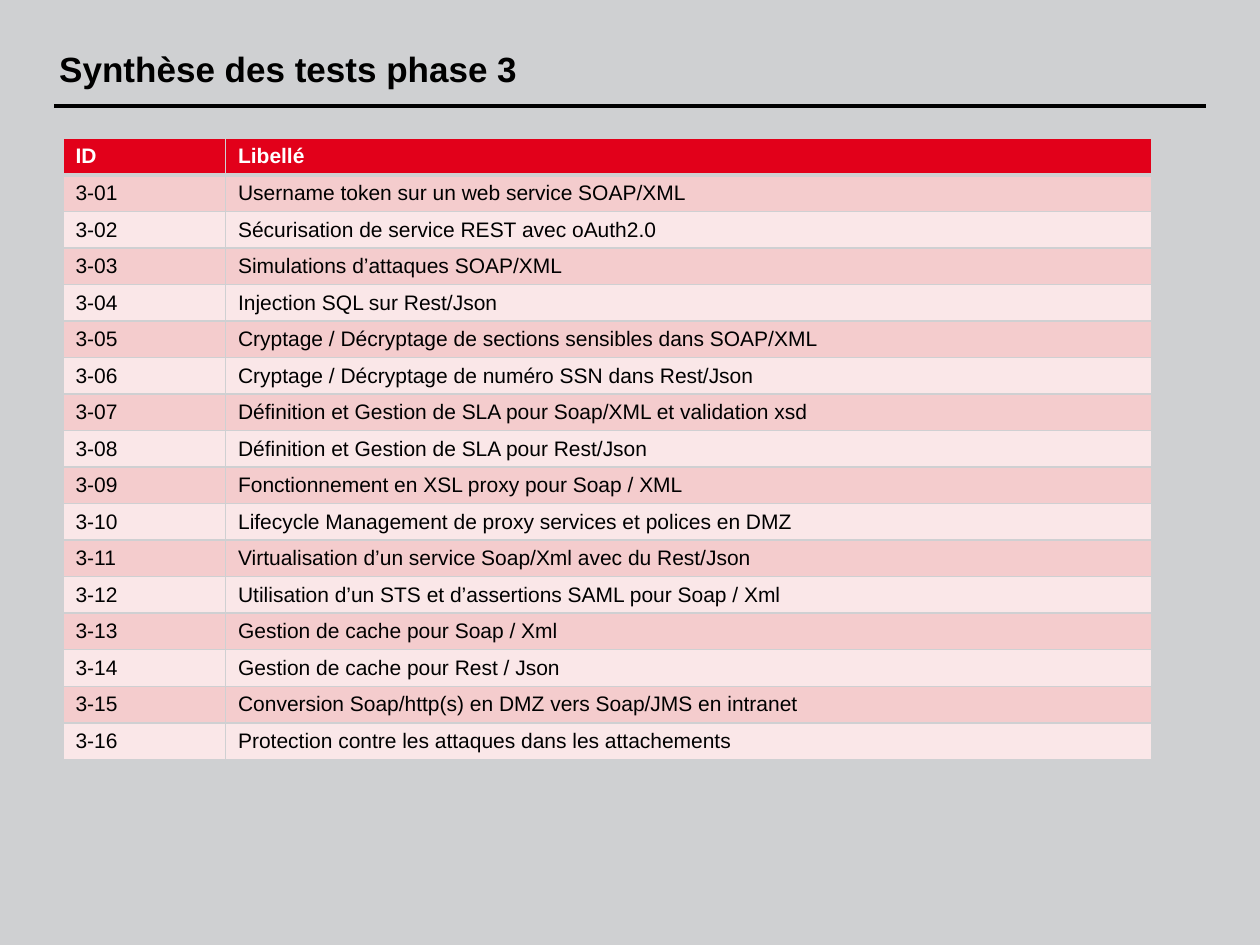
from lxml import etree
from pptx import Presentation
from pptx.dml.color import RGBColor
from pptx.enum.shapes import MSO_CONNECTOR
from pptx.enum.text import MSO_ANCHOR, PP_ALIGN
from pptx.oxml.ns import qn
from pptx.util import Inches, Pt

STRAIGHT = MSO_CONNECTOR.STRAIGHT
MIDDLE = MSO_ANCHOR.MIDDLE
LEFT = PP_ALIGN.LEFT
TITLE_ONLY = 5
FONT = "Arial"

COLORS = {
    "background": "CFD0D2",
    "text": "000000",
    "header": "E2001A",
    "header_text": "FFFFFF",
    "odd_row": "F4CCCD",
    "even_row": "FAE7E8",
}

# Table grid, in inches
TABLE_LEFT, TABLE_TOP = 0.5, 1.1
COLUMN_WIDTHS = (1.29, 7.35)
ROW_HEIGHT = 0.29

HEADER = ("ID", "Libellé")
TESTS = [
    "Username token sur un web service SOAP/XML",
    "Sécurisation de service REST avec oAuth2.0",
    "Simulations d’attaques SOAP/XML",
    "Injection SQL sur Rest/Json",
    "Cryptage / Décryptage de sections sensibles dans SOAP/XML",
    "Cryptage / Décryptage de numéro SSN dans Rest/Json",
    "Définition et Gestion de SLA pour Soap/XML et validation xsd",
    "Définition et Gestion de SLA pour Rest/Json",
    "Fonctionnement en XSL proxy pour Soap / XML",
    "Lifecycle Management de proxy services et polices en DMZ",
    "Virtualisation d’un service Soap/Xml avec du Rest/Json",
    "Utilisation d’un STS et d’assertions SAML pour Soap / Xml",
    "Gestion de cache pour Soap / Xml",
    "Gestion de cache pour Rest / Json",
    "Conversion Soap/http(s) en DMZ vers Soap/JMS en intranet",
    "Protection contre les attaques dans les attachements",
]


def color(name):
    return RGBColor.from_string(COLORS[name])


def format_text(frame, size, color_name, bold):
    for para in frame.paragraphs:
        para.alignment = LEFT
        for span in para.runs:
            span.font.name = FONT
            span.font.size = Pt(size)
            span.font.bold = bold
            span.font.color.rgb = color(color_name)


def set_title(page, text):
    title = page.shapes.title
    title.left, title.top = Inches(0.47), Inches(0.08)
    title.width, title.height = Inches(9.05), Inches(0.92)
    frame = title.text_frame
    frame.text = text
    frame.vertical_anchor = MIDDLE
    frame.margin_left = frame.margin_right = 0
    frame.margin_top = frame.margin_bottom = 0
    format_text(frame, 20, "text", True)


def add_rule(page, left, right, top):
    rule = page.shapes.add_connector(
        STRAIGHT, Inches(left), Inches(top), Inches(right), Inches(top))
    rule.line.color.rgb = color("text")
    rule.line.width = Pt(2.25)
    etree.SubElement(rule._element.spPr, qn("a:effectLst"))


def set_borders(cell, top, bottom):
    """Border lines come before the fill in the cell properties."""
    properties = cell._tc.get_or_add_tcPr()
    sides = (("lnL", 1), ("lnR", 1), ("lnT", top), ("lnB", bottom))
    for position, (side, width) in enumerate(sides):
        line = etree.Element(qn(f"a:{side}"), w=str(Pt(width)))
        fill = etree.SubElement(line, qn("a:solidFill"))
        etree.SubElement(fill, qn("a:srgbClr"), val=COLORS["background"])
        properties.insert(position, line)


def fill_row(table, index, texts):
    is_header = index == 0
    band = "header" if is_header else "odd_row" if index % 2 else "even_row"
    text_color = "header_text" if is_header else "text"
    for column, text in enumerate(texts):
        cell = table.cell(index, column)
        cell.text_frame.text = text
        format_text(cell.text_frame, 12, text_color, is_header)
        cell.fill.solid()
        cell.fill.fore_color.rgb = color(band)
        # A thicker line parts the header from the tests
        set_borders(cell, top=3 if index == 1 else 1,
                    bottom=3 if is_header else 1)


def add_test_table(page):
    rows = [HEADER] + [(f"3-{number:02d}", label)
                       for number, label in enumerate(TESTS, 1)]
    table = page.shapes.add_table(
        len(rows), len(HEADER), Inches(TABLE_LEFT), Inches(TABLE_TOP),
        Inches(sum(COLUMN_WIDTHS)), Inches(ROW_HEIGHT * len(rows))).table
    for column, width in zip(table.columns, COLUMN_WIDTHS):
        column.width = Inches(width)
    for index, texts in enumerate(rows):
        table.rows[index].height = Inches(ROW_HEIGHT)
        fill_row(table, index, texts)


def main():
    deck = Presentation()
    deck.slide_width, deck.slide_height = Inches(10), Inches(7.5)
    page = deck.slides.add_slide(deck.slide_layouts[TITLE_ONLY])
    page.background.fill.solid()
    page.background.fill.fore_color.rgb = color("background")

    # Heading with its rule
    set_title(page, "Synthèse des tests phase 3")
    add_rule(page, 0.43, 9.57, 0.84)

    # List of tests
    add_test_table(page)
    deck.save("out.pptx")


if __name__ == "__main__":
    main()
